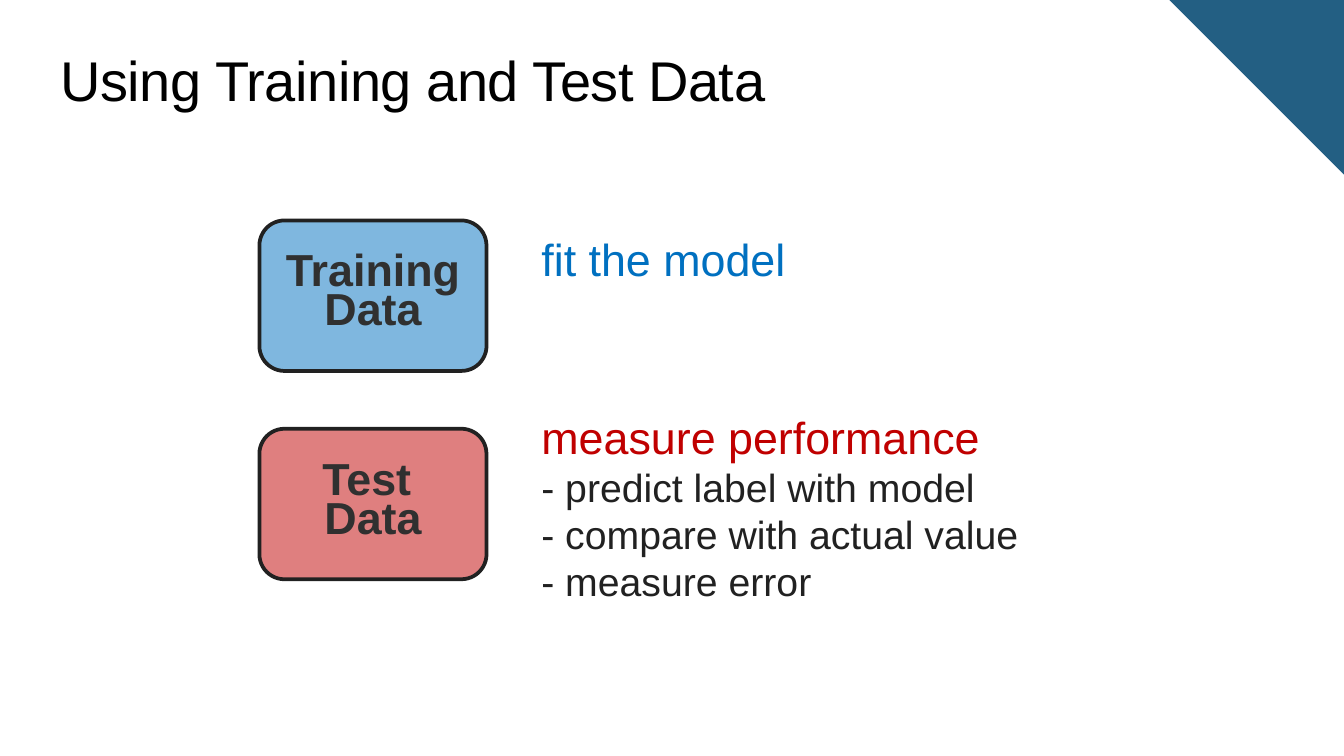
"""Build a slide on what training and test data are used for."""
from lxml.etree import SubElement
from pptx import Presentation
from pptx.dml.color import RGBColor
from pptx.enum.shapes import MSO_SHAPE
from pptx.enum.text import MSO_ANCHOR, MSO_AUTO_SIZE, PP_ALIGN
from pptx.oxml.ns import qn
from pptx.util import Inches, Pt

HUES = {
    "corner": "235F83", "blue": "0070C0", "red": "C00000",
    "edge": "212121", "label": "303030", "title": "000000",
}


def paint(shape, hue):
    shape.shadow.inherit = False
    shape.fill.solid()
    shape.fill.fore_color.rgb = RGBColor.from_string(HUES[hue])


def write(shape, rows, frame, para, bold=False):
    body = shape.text_frame
    for name, value in {"word_wrap": True, **frame}.items():
        setattr(body, name, value)
    for i, (text, size, hue) in enumerate(rows):
        line = body.add_paragraph() if i else body.paragraphs[0]
        for name, value in para.items():
            setattr(line, name, value)
        run = line.add_run()
        run.text = text
        style = {"name": "Arial", "size": Pt(size), "bold": bold}
        for name, value in style.items():
            setattr(run.font, name, value)
        run.font.color.rgb = RGBColor.from_string(HUES[hue])


deck = Presentation()
deck.slide_width = Inches(10)
deck.slide_height = Inches(10) * 9 // 16
slide = deck.slides.add_slide(deck.slide_layouts[6])
shapes = slide.shapes

corner = shapes.add_shape(
    MSO_SHAPE.RIGHT_TRIANGLE, Inches(8.7), Inches(0), Inches(1.3), Inches(1.3))
corner.rotation = 180
paint(corner, "corner")
corner.line.fill.background()

flush = {"margin_" + side: 0 for side in ("left", "top", "right", "bottom")}
middle = {"vertical_anchor": MSO_ANCHOR.MIDDLE}
grow = {"auto_size": MSO_AUTO_SIZE.SHAPE_TO_FIT_TEXT}
inset = {"margin_top": Inches(0.15), "margin_bottom": Inches(0.07)}
steps = ["- predict label with model", "- compare with actual value", "- measure error"]
notes = [
    ((0.44, 0.34, 9.23, 0.5), [("Using Training and Test Data", 30, "title")], flush),
    ((3.93, 1.57, 2.75, 0.63), [("fit the model", 24, "blue")], {**middle, **inset}),
    ((3.93, 3, 4.1, 1.57),
     [("measure performance", 24, "red")] + [(step, 21, "edge") for step in steps], {}),
]
for place, rows, frame in notes:
    note = shapes.add_textbox(*map(Inches, place))
    write(note, rows, {**grow, **frame}, {"line_spacing": 1.0})
    if frame is flush:
        title = note.text_frame.paragraphs[0]
        title.runs[0].font._element.set("spc", "-25")
        title._p.get_or_add_pPr().set("marL", str(Inches(0.01)))

cards = [("Test ", "red", 3.19), ("Training", "blue", 1.64)]
for word, hue, top in cards:
    card = shapes.add_shape(
        MSO_SHAPE.ROUNDED_RECTANGLE, Inches(1.93), Inches(top), Inches(1.69), Inches(1.12))
    paint(card, hue)
    tint = card._element.spPr.find(qn("a:solidFill"))[0]
    SubElement(tint, qn("a:alpha"), val="50000")
    card.line.color.rgb = RGBColor.from_string(HUES["edge"])
    card.line.width = Pt(2)
    rows = [(text, 24, "label") for text in (word, "Data")]
    para = {"alignment": PP_ALIGN.CENTER, "line_spacing": Pt(21)}
    write(card, rows, middle, para, bold=True)

deck.save("out.pptx")
